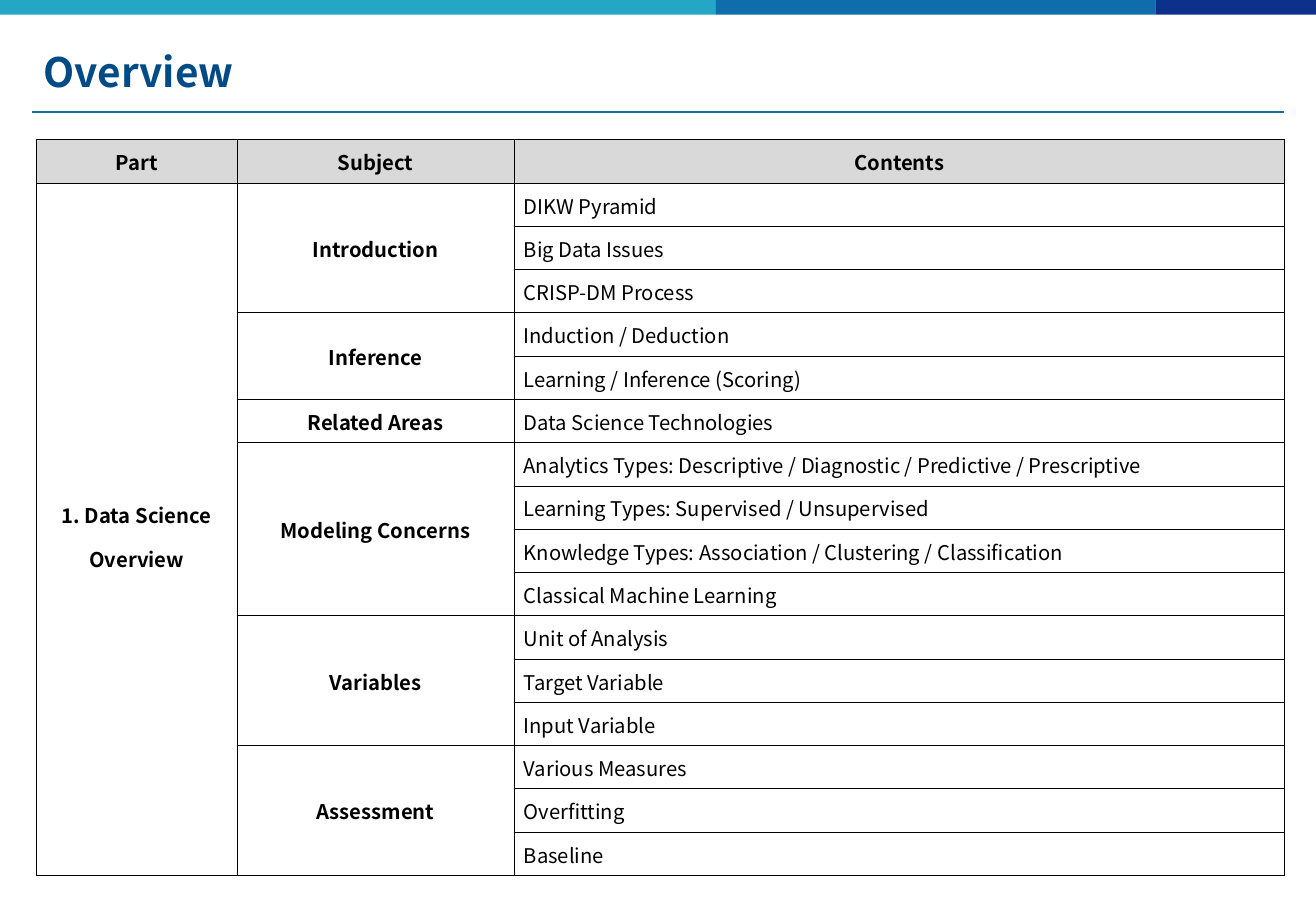
from dataclasses import dataclass

from lxml import etree
from pptx import Presentation
from pptx import util as u
from pptx.dml.color import RGBColor
from pptx.enum import shapes, text
from pptx.oxml import ns

WIDTH, HEIGHT = u.Inches(10.83), u.Inches(7.5)


@dataclass(frozen=True)
class Theme:
    font: str = "Noto Sans CJK KR"
    title: str = "004B85"
    ink: str = "000000"
    header: str = "D9D9D9"
    rule: str = "0F6FAC"
    bands: tuple = ("24A7C5", "0F6DAB", "0D318B")
    title_size: int = 24
    body_size: int = 12


THEME = Theme()

# Content: subject and its topics
HEADERS = ("Part", "Subject", "Contents")
PART = "1. Data Science\nOverview"
SUBJECTS = {
    "Introduction": ("DIKW Pyramid", "Big Data Issues", "CRISP-DM Process"),
    "Inference": ("Induction / Deduction", "Learning / Inference (Scoring)"),
    "Related Areas": ("Data Science Technologies",),
    "Modeling Concerns": (
        "Analytics Types: Descriptive / Diagnostic / Predictive / Prescriptive",
        "Learning Types: Supervised / Unsupervised",
        "Knowledge Types: Association / Clustering / Classification",
        "Classical Machine Learning",
    ),
    "Variables": ("Unit of Analysis", "Target Variable", "Input Variable"),
    "Assessment": ("Various Measures", "Overfitting", "Baseline"),
}

# Layout: band edges as shares of the width, table grid in inches
BAND_EDGES = (0, 0.544, 0.878, 1)
BAND_HEIGHT = 0.016
COLUMNS = (1.65, 2.28, 6.34)
ROW_HEIGHT = 6.06 / 17


def write(frame, content, size=THEME.body_size, color=THEME.ink, bold=False,
          align=text.PP_ALIGN.LEFT, spacing=1.0):
    frame.text = content
    for paragraph in frame.paragraphs:
        paragraph.alignment = align
        paragraph.line_spacing = spacing
        for run in paragraph.runs:
            font = run.font
            font.name, font.size, font.bold = THEME.font, u.Pt(size), bold
            font.color.rgb = RGBColor.from_string(color)
            east_asian = etree.SubElement(font._element, ns.qn("a:ea"))
            east_asian.set("typeface", THEME.font)


def add_bands(slide):
    for left, right, color in zip(BAND_EDGES, BAND_EDGES[1:], THEME.bands):
        band = slide.shapes.add_shape(
            shapes.MSO_SHAPE.RECTANGLE, int(WIDTH * left), 0,
            int(WIDTH * (right - left)), int(HEIGHT * BAND_HEIGHT))
        band.shadow.inherit = False
        band.fill.solid()
        band.fill.fore_color.rgb = RGBColor.from_string(color)
        band.line.fill.background()


def add_title(slide, content):
    title = slide.shapes.title
    title.left, title.top = u.Inches(0.26), u.Inches(0.27)
    title.width, title.height = u.Inches(10.32), u.Inches(0.64)
    title.text_frame.vertical_anchor = text.MSO_ANCHOR.MIDDLE
    write(title.text_frame, content, size=THEME.title_size,
          color=THEME.title, bold=True)


def add_rule(slide):
    y = u.Inches(0.92)
    rule = slide.shapes.add_connector(
        shapes.MSO_CONNECTOR.STRAIGHT, u.Inches(0.26), y, u.Inches(10.57), y)
    rule.line.color.rgb = RGBColor.from_string(THEME.rule)
    rule.line.width = u.Pt(1)
    etree.SubElement(rule._element.spPr, ns.qn("a:effectLst"))


def add_borders(cell):
    properties = cell._tc.get_or_add_tcPr()
    for side in ("lnL", "lnR", "lnT", "lnB"):
        line = etree.SubElement(properties, ns.qn(f"a:{side}"), w=str(u.Pt(0.5)))
        fill = etree.SubElement(line, ns.qn("a:solidFill"))
        etree.SubElement(fill, ns.qn("a:srgbClr"), val=THEME.ink)


def format_cell(cell, header=False):
    add_borders(cell)
    if header:
        cell.fill.solid()
        cell.fill.fore_color.rgb = RGBColor.from_string(THEME.header)
    else:
        cell.fill.background()
    cell.vertical_anchor = text.MSO_ANCHOR.MIDDLE
    cell.margin_left = cell.margin_right = cell.margin_top = u.Inches(0.01)
    cell.margin_bottom = 0


def fill_heading(table, row, column, content, rows=1, spacing=1.0):
    cell = table.cell(row, column)
    if rows > 1:
        cell.merge(table.cell(row + rows - 1, column))
    write(cell.text_frame, content, bold=True,
          align=text.PP_ALIGN.CENTER, spacing=spacing)


def add_overview_table(slide):
    topic_count = sum(map(len, SUBJECTS.values()))
    row_count = topic_count + 1
    table = slide.shapes.add_table(
        row_count, len(COLUMNS), u.Inches(0.3), u.Inches(1.15),
        u.Inches(sum(COLUMNS)), u.Inches(ROW_HEIGHT * row_count)).table
    table.first_row = table.horz_banding = False
    for column, width in zip(table.columns, COLUMNS):
        column.width = u.Inches(width)
    for index, row in enumerate(table.rows):
        row.height = u.Inches(ROW_HEIGHT)
        for cell in row.cells:
            format_cell(cell, header=index == 0)

    # Header row and part column
    for column, heading in enumerate(HEADERS):
        fill_heading(table, 0, column, heading)
    fill_heading(table, 1, 0, PART, rows=topic_count, spacing=1.5)

    # Subjects with their topics
    row = 1
    for subject, topics in SUBJECTS.items():
        fill_heading(table, row, 1, subject, rows=len(topics))
        for topic in topics:
            cell = table.cell(row, 2)
            cell.margin_left = u.Inches(0.08)
            write(cell.text_frame, topic)
            row += 1


def main():
    presentation = Presentation()
    presentation.slide_width, presentation.slide_height = WIDTH, HEIGHT
    slide = presentation.slides.add_slide(
        presentation.slide_layouts.get_by_name("Title Only"))
    add_bands(slide)
    add_title(slide, "Overview")
    add_rule(slide)
    add_overview_table(slide)
    presentation.save("out.pptx")


if __name__ == "__main__":
    main()
